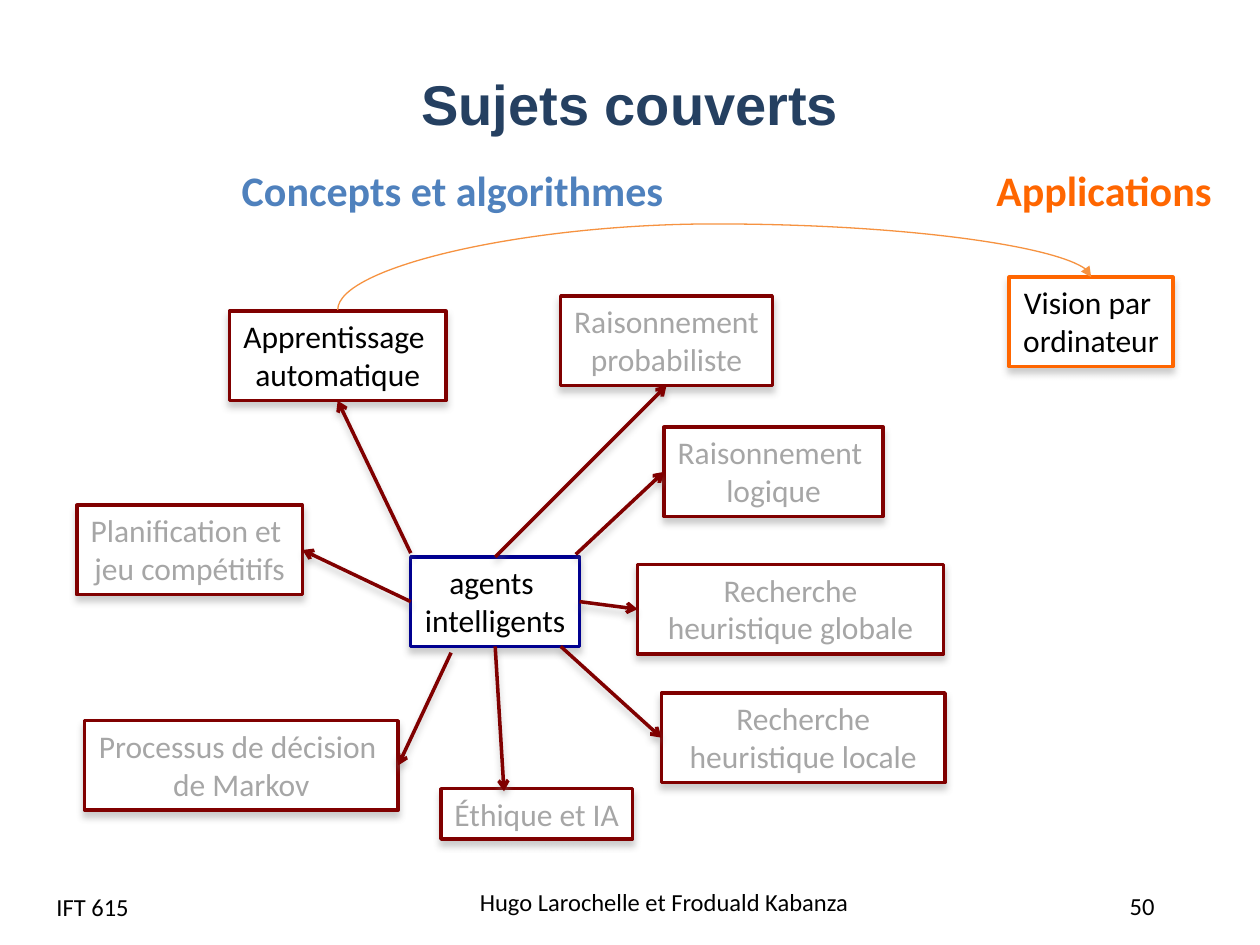
"""Build the course-map slide linking intelligent agents to the topics covered."""
from dataclasses import dataclass
from typing import Optional

from lxml import etree
from pptx import Presentation
from pptx.dml.color import RGBColor
from pptx.enum import shapes, text
from pptx.oxml import ns
from pptx.util import Inches, Pt

COLORS = {
    "title": "254061", "concepts": "4F81BD", "applications": "FF6600",
    "topic": "800000", "agents": "000090", "curve": "F69240",
    "active": "000000", "muted": "A6A6A6", "white": "FFFFFF", "shadow": "808080",
}
TOP, LEFT, BOTTOM, RIGHT = range(4)
CENTER = text.PP_ALIGN.CENTER
MIDDLE = text.MSO_ANCHOR.MIDDLE


@dataclass
class Topic:
    name: str
    words: str
    left: float
    top: float
    width: float
    height: float = 0.71
    border: str = "topic"
    ink: str = "muted"
    wrap: bool = False


@dataclass
class Arrow:
    target: str
    start: tuple[float, float]
    end: tuple[float, float]
    start_side: Optional[int] = None
    end_side: Optional[int] = None


@dataclass
class Label:
    words: str
    left: float
    top: float
    width: float
    height: float
    size: int = 14
    color: str = "active"
    bold: bool = False
    align: text.PP_ALIGN = text.PP_ALIGN.LEFT
    anchor: text.MSO_ANCHOR = MIDDLE
    wrap: bool = True


TOPICS = [
    Topic("agents", "agents \nintelligents", 3.26, 4.42, 1.34, border="agents", ink="active"),
    Topic("logic", "Raisonnement \nlogique", 5.27, 3.39, 1.74),
    Topic("learning", "Apprentissage \nautomatique", 1.82, 2.47, 1.72, ink="active"),
    Topic("markov", "Processus de décision \nde Markov", 0.67, 5.72, 2.49),
    Topic("planning", "Planification et \njeu compétitifs", 0.61, 4.01, 1.79),
    Topic("local", "Recherche heuristique locale", 5.25, 5.5, 2.25, wrap=True),
    Topic("global", "Recherche heuristique globale", 5.06, 4.48, 2.43, wrap=True),
    Topic("ethics", "Éthique et IA", 3.5, 6.26, 1.52, 0.4),
    Topic("probability", "Raisonnement\nprobabiliste", 4.45, 2.35, 1.68),
    Topic("vision", "Vision par \nordinateur", 8.01, 2.2, 1.3, border="applications", ink="active"),
]
ARROWS = [
    Arrow("probability", (3.93, 4.42), (5.29, 3.05), TOP, BOTTOM),
    Arrow("learning", (3.26, 4.39), (2.68, 3.17), None, BOTTOM),
    Arrow("global", (4.6, 4.77), (5.06, 4.84), RIGHT, LEFT),
    Arrow("local", (4.45, 5.13), (5.25, 5.85), None, LEFT),
    Arrow("ethics", (3.93, 5.13), (4, 6.28), BOTTOM),
    Arrow("planning", (3.26, 4.77), (2.4, 4.37), LEFT, RIGHT),
    Arrow("markov", (3.58, 5.18), (3.16, 6.07), None, RIGHT),
    Arrow("logic", (4.57, 4.4), (5.27, 3.78), None, LEFT),
]
LABELS = [
    Label("Hugo Larochelle et Froduald Kabanza", 3.71, 6.97, 3.39, 0.37),
    Label("50", 8.66, 7.06, 0.81, 0.26, align=CENTER),
    Label("IFT 615", 0.35, 7, 2.33, 0.4),
    Label("Applications", 7.81, 1.26, 1.93, 0.5, 24, "applications", True,
          anchor=text.MSO_ANCHOR.TOP, wrap=False),
    Label("Concepts et algorithmes", 1.82, 1.26, 3.58, 0.5, 24, "concepts", True,
          anchor=text.MSO_ANCHOR.TOP, wrap=False),
]


def rgb(name: str) -> RGBColor:
    return RGBColor.from_string(COLORS[name])


def place(shape, left: float, top: float, width: float, height: float) -> None:
    shape.left, shape.top = Inches(left), Inches(top)
    shape.width, shape.height = Inches(width), Inches(height)


def write(shape, words: str, size: int, color: str, align, anchor, wrap=True,
          bold=False, face="Calibri") -> None:
    frame = shape.text_frame
    frame.text = words
    frame.word_wrap = wrap
    frame.vertical_anchor = anchor
    for para in frame.paragraphs:
        para.alignment = align
        for span in para.runs:
            span.font.name, span.font.size, span.font.bold = face, Pt(size), bold
            span.font.color.rgb = rgb(color)


def outline(shape, color: str, width: float) -> None:
    shape.line.color.rgb = rgb(color)
    shape.line.width = Pt(width)


def add_effects(shape, shadow: bool) -> None:
    effects = etree.SubElement(shape._element.spPr, ns.qn("a:effectLst"))
    if shadow:
        outer = etree.SubElement(effects, ns.qn("a:outerShdw"), blurRad=str(Pt(4)),
                                 dist=str(Pt(3)), dir="5400000", rotWithShape="0")
        color = etree.SubElement(outer, ns.qn("a:srgbClr"), val=COLORS["shadow"])
        etree.SubElement(color, ns.qn("a:alpha"), val="40000")


def add_head(connector, kind: str) -> None:
    etree.SubElement(connector.line._get_or_add_ln(), ns.qn("a:tailEnd"), type=kind)


def add_topic(page, topic: Topic):
    box = page.shapes.add_shape(
        shapes.MSO_SHAPE.RECTANGLE, Inches(topic.left), Inches(topic.top),
        Inches(topic.width), Inches(topic.height))
    box.fill.solid()
    box.fill.fore_color.rgb = rgb("white")
    outline(box, topic.border, 2)
    add_effects(box, True)
    write(box, topic.words, 18, topic.ink, CENTER, text.MSO_ANCHOR.TOP, topic.wrap)
    box.text_frame.auto_size = text.MSO_AUTO_SIZE.SHAPE_TO_FIT_TEXT
    return box


def add_arrow(page, arrow: Arrow, boxes: dict) -> None:
    connector = page.shapes.add_connector(
        shapes.MSO_CONNECTOR.STRAIGHT, *map(Inches, arrow.start + arrow.end))
    if arrow.start_side is not None:
        connector.begin_connect(boxes["agents"], arrow.start_side)
    if arrow.end_side is not None:
        connector.end_connect(boxes[arrow.target], arrow.end_side)
    outline(connector, "topic", 2)
    add_head(connector, "arrow")
    add_effects(connector, True)


def add_curve(page) -> None:
    """Draw the arc from learning to vision as a quarter-turned curved connector."""
    curve = page.shapes.add_connector(
        shapes.MSO_CONNECTOR.CURVE, Inches(5.8), Inches(5.32), Inches(5.54), Inches(-0.66))
    properties = curve._element.spPr
    properties.find(ns.qn("a:xfrm")).set("rot", "5400000")
    guides = properties.find(ns.qn("a:prstGeom")).find(ns.qn("a:avLst"))
    etree.SubElement(guides, ns.qn("a:gd"), name="adj1", fmla="val 262500")
    outline(curve, "curve", 0.75)
    add_head(curve, "triangle")
    add_effects(curve, False)


def add_label(page, label: Label) -> None:
    box = page.shapes.add_textbox(
        Inches(label.left), Inches(label.top), Inches(label.width), Inches(label.height))
    write(box, label.words, label.size, label.color, label.align, label.anchor,
          label.wrap, label.bold)


def main() -> None:
    deck = Presentation()
    deck.slide_width, deck.slide_height = Inches(10), Inches(7.5)
    page = deck.slides.add_slide(deck.slide_layouts[5])
    title = page.shapes.title
    place(title, 0.25, 0.43, 9.5, 0.77)
    write(title, "Sujets couverts", 32, "title", CENTER, MIDDLE, bold=True, face="Arial")
    boxes = {topic.name: add_topic(page, topic) for topic in TOPICS}
    for arrow in ARROWS:
        add_arrow(page, arrow, boxes)
    for label in LABELS:
        add_label(page, label)
    add_curve(page)
    deck.save("out.pptx")


if __name__ == "__main__":
    main()
